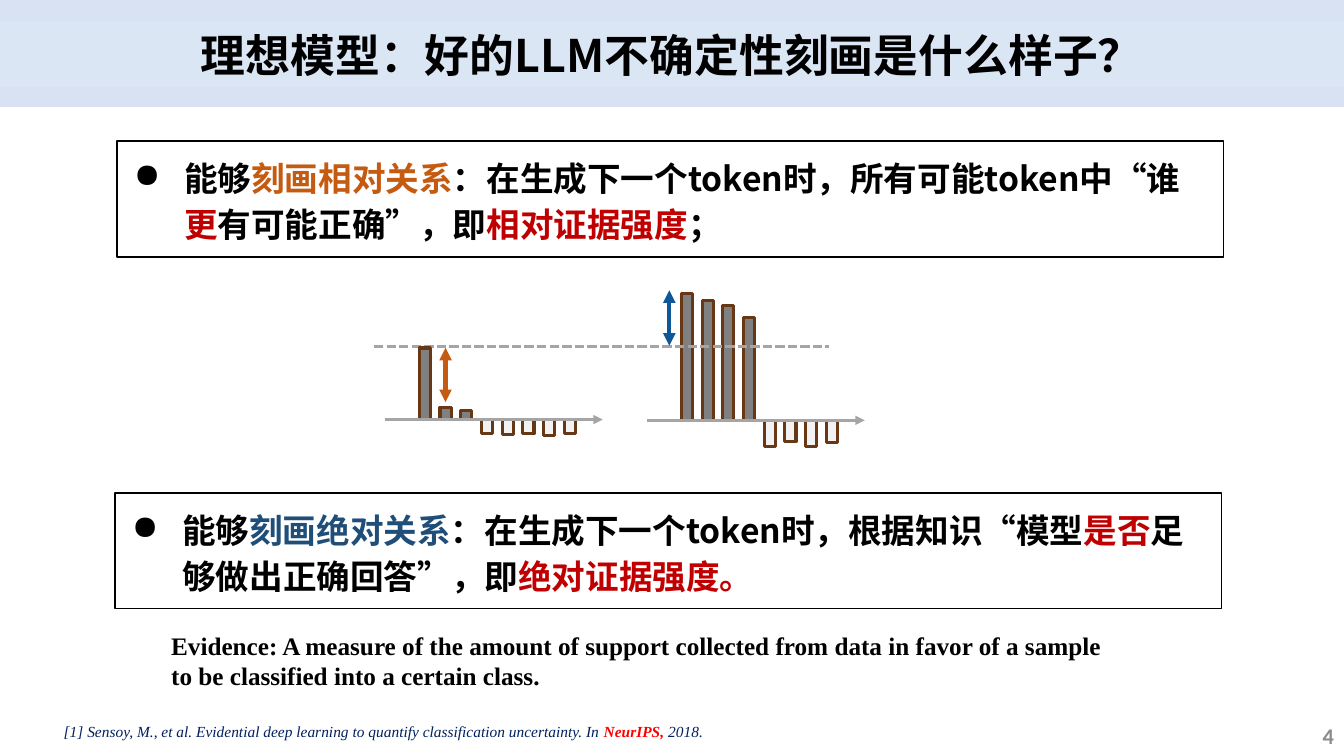
from dataclasses import dataclass
from typing import Optional

from lxml.etree import SubElement
from pptx import Presentation
from pptx.dml.color import RGBColor
from pptx.enum.dml import MSO_LINE
from pptx.enum.shapes import MSO_CONNECTOR, MSO_SHAPE
from pptx.enum.text import MSO_ANCHOR, MSO_AUTO_SIZE, PP_ALIGN
from pptx.oxml.ns import qn
from pptx.util import Emu, Inches, Pt

COLORS = {
    "black": "000000", "banner": "4472C4", "title": "DEEBF7",
    "orange": "C55A11", "red": "C00000", "navy": "1F4E79",
    "positive": "808080", "negative": "F2F2F2", "outline": "683715",
    "axis": "A5A5A5", "blue": "0E5899", "number": "8C8C8C",
    "citation": "002060", "venue": "FF0000",
}
HAN, SERIF = "Noto Sans CJK SC", "Times New Roman"
WIDTH, HEIGHT = Inches(13.333), Inches(7.5)
BAR_WIDTH, BAR_PITCH = 0.83, 1.54
AXIS_LEAD, AXIS_LENGTH = 2.55, 16.2


@dataclass
class Area:
    left: float
    top: float
    width: float
    height: float

    def emu(self) -> tuple:
        return (across(self.left), down(self.top),
                across(self.width), down(self.height))


@dataclass
class Phrase:
    text: str
    color: str = "black"
    bold: Optional[bool] = None


@dataclass
class Style:
    size: float
    face: str = HAN
    bold: bool = True
    italic: bool = False
    spacing: float = 1.0
    align: PP_ALIGN = PP_ALIGN.LEFT
    bullet: str = ""


@dataclass
class Evidence:
    left: float
    baseline: float
    strengths: list


@dataclass
class Gap:
    x: float
    top: float
    bottom: float
    color: str


@dataclass
class Claim:
    left: float
    top: float
    phrases: list


CLAIMS = [
    Claim(8.7, 18.67, [
        Phrase("能够"), Phrase("刻画相对关系", "orange"),
        Phrase("：在生成下一个token时，所有可能token中“谁"),
        Phrase("更", "red"), Phrase("有可能正确”，即"),
        Phrase("相对证据强度", "red"), Phrase("；")]),
    Claim(8.55, 65.2, [
        Phrase("能够"), Phrase("刻画绝对关系", "navy"),
        Phrase("：在生成下一个token时，根据知识“模型"),
        Phrase("是否", "red"), Phrase("足够做出正确回答”，即"),
        Phrase("绝对证据强度。", "red")]),
]
EVIDENCE = [
    Evidence(50.7, 55.6, [16.8, 15.87, 15.2, 13.6, -3.47, -2.8, -3.47, -2.93]),
    Evidence(31.2, 55.5, [9.47, 1.6, 1.2, -1.87, -2, -1.87, -2.13, -1.87]),
]
GAPS = [Gap(33.15, 46, 53.2, "orange"), Gap(49.8, 38.4, 45.73, "blue")]


def across(share: float) -> Emu:
    return Emu(round(WIDTH * share / 100))


def down(share: float) -> Emu:
    return Emu(round(HEIGHT * share / 100))


def rgb(name: str) -> RGBColor:
    return RGBColor.from_string(COLORS[name])


def paint(shape, color: str, opacity: int = 100) -> None:
    shape.fill.solid()
    shape.fill.fore_color.rgb = rgb(color)
    if opacity < 100:
        tint = shape._element.spPr.find(".//" + qn("a:srgbClr"))
        SubElement(tint, qn("a:alpha"), val=str(opacity * 1000))


def write(frame, phrases: list, style: Style) -> None:
    frame.word_wrap = True
    frame.auto_size = MSO_AUTO_SIZE.NONE
    paragraph = frame.paragraphs[0]
    paragraph.alignment = style.align
    paragraph.line_spacing = style.spacing
    paragraph.space_before = Pt(0)
    if style.bullet:
        properties = paragraph._p.get_or_add_pPr()
        properties.set("marL", str(Inches(0.5)))
        properties.set("indent", str(Inches(-0.5)))
        SubElement(properties, qn("a:buChar"), char=style.bullet)
    font = paragraph.font
    font.size, font.bold, font.italic = Pt(style.size), style.bold, style.italic
    font.name = style.face
    defaults = paragraph._p.find(".//" + qn("a:defRPr"))
    SubElement(defaults, qn("a:ea"), typeface=style.face)
    for phrase in phrases:
        run = paragraph.add_run()
        run.text = phrase.text
        run.font.color.rgb = rgb(phrase.color)
        if phrase.bold is not None:
            run.font.bold = phrase.bold


def add_text(shapes, area: Area, phrases: list, style: Style,
             anchor: MSO_ANCHOR = MSO_ANCHOR.TOP) -> None:
    frame = shapes.add_textbox(*area.emu()).text_frame
    frame.vertical_anchor = anchor
    write(frame, phrases, style)


def add_rect(shapes, area: Area, fill: str = "", opacity: int = 100,
             outline: str = "", weight: float = 1) -> None:
    rect = shapes.add_shape(MSO_SHAPE.RECTANGLE, *area.emu())
    rect.shadow.inherit = False
    if fill:
        paint(rect, fill, opacity)
    else:
        rect.fill.background()
    if outline:
        rect.line.color.rgb = rgb(outline)
        rect.line.width = Pt(weight)
    else:
        rect.line.fill.background()


def add_line(shapes, start: tuple, end: tuple, color: str, weight: float,
             heads: tuple = (), dash: Optional[MSO_LINE] = None) -> None:
    line = shapes.add_connector(
        MSO_CONNECTOR.STRAIGHT, across(start[0]), down(start[1]),
        across(end[0]), down(end[1]))
    line.line.color.rgb = rgb(color)
    line.line.width = Pt(weight)
    if dash is not None:
        line.line.dash_style = dash
    for head in heads:
        SubElement(line.line._get_or_add_ln(), qn(head), type="triangle")
    SubElement(line._element.spPr, qn("a:effectLst"))


def add_evidence(shapes, evidence: Evidence) -> None:
    group = shapes.add_group_shape().shapes
    for position, strength in enumerate(evidence.strengths):
        add_rect(group, Area(evidence.left + position * BAR_PITCH,
                             evidence.baseline - max(strength, 0),
                             BAR_WIDTH, abs(strength)),
                 "positive" if strength > 0 else "negative",
                 outline="outline", weight=2.25)
    start = evidence.left - AXIS_LEAD
    add_line(group, (start, evidence.baseline),
             (start + AXIS_LENGTH, evidence.baseline),
             "axis", 2.25, ("a:tailEnd",))


def add_title(shapes) -> None:
    title = shapes.title
    title.left, title.top, title.width, title.height = Area(0, 2.93, 100, 8.53).emu()
    paint(title, "title", 50)
    title.text_frame.vertical_anchor = MSO_ANCHOR.MIDDLE
    write(title.text_frame, [Phrase("理想模型：好的LLM不确定性刻画是什么样子？")],
          Style(32, align=PP_ALIGN.CENTER))
    shapes._spTree.append(title._element)


def main() -> None:
    deck = Presentation()
    deck.slide_width, deck.slide_height = WIDTH, HEIGHT
    shapes = deck.slides.add_slide(deck.slide_layouts[5]).shapes
    add_rect(shapes, Area(0, 0, 100, 14.13), "banner", 20)
    add_title(shapes)
    for claim in CLAIMS:
        add_rect(shapes, Area(claim.left, claim.top, 82.35, 15.33), outline="black")
        add_text(shapes, Area(claim.left + 0.52, claim.top + 0.8, 80.7, 13.2),
                 claim.phrases, Style(24, spacing=1.14, bullet="●"))
    add_evidence(shapes, EVIDENCE[0])
    add_line(shapes, (27.83, 45.87), (61.65, 45.87), "axis", 2.25,
             dash=MSO_LINE.SQUARE_DOT)
    add_evidence(shapes, EVIDENCE[1])
    for gap in GAPS:
        add_line(shapes, (gap.x, gap.top), (gap.x, gap.bottom), gap.color, 3,
                 ("a:headEnd", "a:tailEnd"))
    add_text(shapes, Area(12, 82.67, 71.8, 9.47), [Phrase(
        "Evidence: A measure of the amount of support collected from data "
        "in favor of a sample to be classified into a certain class.")],
        Style(18, SERIF))
    add_text(shapes, Area(4, 93.6, 60.1, 4.67), [
        Phrase("[1] Sensoy, M., et al. Evidential deep learning to quantify "
               "classification uncertainty. In ", "citation"),
        Phrase("NeurIPS, ", "venue", True), Phrase("2018.", "citation")],
        Style(11, SERIF, bold=False, italic=True, spacing=1.5))
    add_text(shapes, Area(77.5, 94.67, 22.5, 5.33), [Phrase("4", "number")],
             Style(16, "Calibri", align=PP_ALIGN.RIGHT), MSO_ANCHOR.MIDDLE)
    deck.save("out.pptx")


if __name__ == "__main__":
    main()
